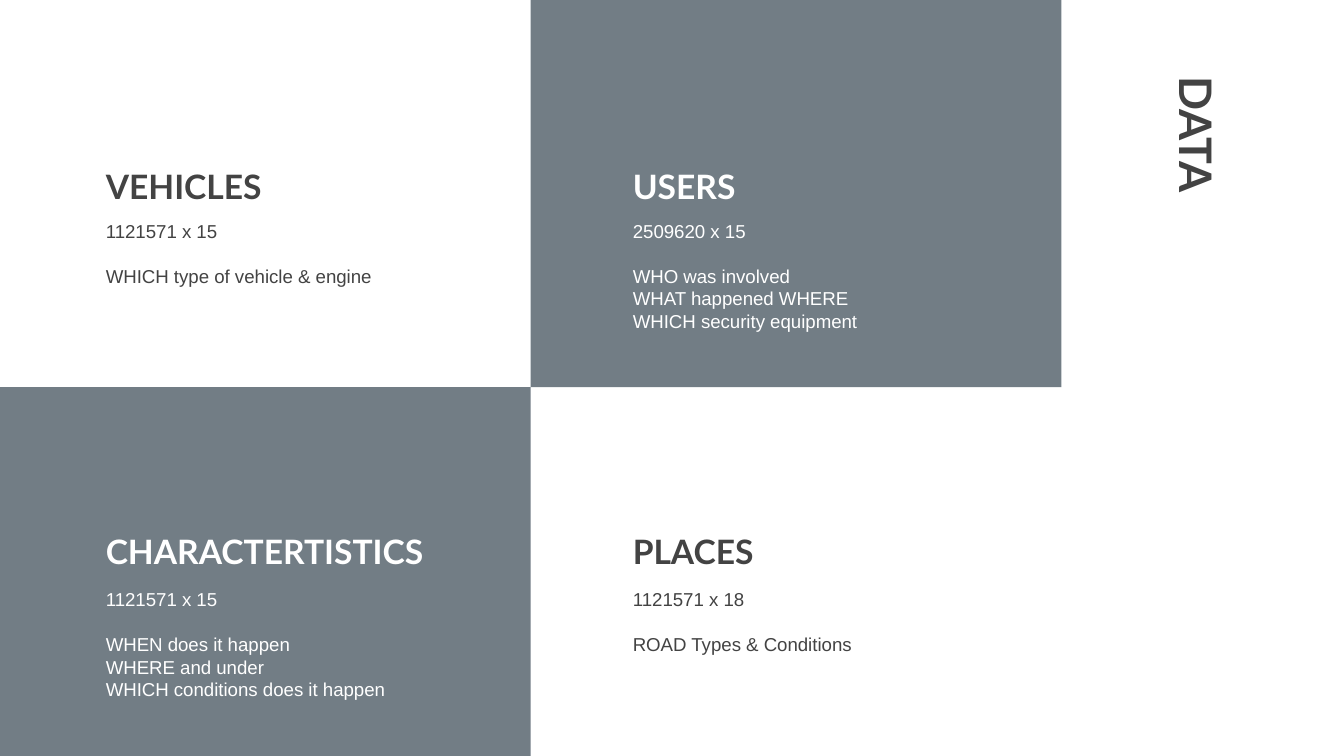
from lxml import etree
from pptx import Presentation
from pptx.dml.color import RGBColor
from pptx.enum.shapes import MSO_SHAPE
from pptx.enum.text import MSO_ANCHOR, MSO_AUTO_SIZE, PP_ALIGN
from pptx.oxml.ns import qn
from pptx.util import Cm, Pt

SLATE = RGBColor(0x19, 0x2C, 0x39)
WHITE = RGBColor(0xFF, 0xFF, 0xFF)
DARK = RGBColor(0x43, 0x43, 0x43)
RECTANGLE = MSO_SHAPE.RECTANGLE
TOP, MIDDLE, BOTTOM = MSO_ANCHOR.TOP, MSO_ANCHOR.MIDDLE, MSO_ANCHOR.BOTTOM
LEFT = PP_ALIGN.LEFT
NO_AUTOFIT = MSO_AUTO_SIZE.NONE

SLIDE_WIDTH, SLIDE_HEIGHT = Cm(25.4), Cm(14.29)
PANEL_WIDTH, PANEL_SPLIT = Cm(10.03), Cm(7.32)
COLUMN_LEFTS = [Cm(1.75), Cm(11.71)]
BODY_WIDTHS = [Cm(6.88), Cm(7.19)]
HEADING_TOPS = [Cm(2.34), Cm(9.25)]
BODY_TOPS = [Cm(3.91), Cm(10.87)]

# Row, column, heading, heading width, body height, body lines
QUADRANTS = [
    (0, 0, "VEHICLES", Cm(7.98), Cm(1.5),
     ["1121571 x 15", "WHICH type of vehicle & engine"]),
    (0, 1, "USERS", Cm(7.49), Cm(2.08),
     ["2509620 x 15", "WHO was involved", "WHAT happened WHERE",
      "WHICH security equipment"]),
    (1, 0, "CHARACTERTISTICS", Cm(7.98), Cm(2.62),
     ["1121571 x 15", "WHEN does it happen", "WHERE and under",
      "WHICH conditions does it happen"]),
    (1, 1, "PLACES", Cm(7.19), Cm(2.08),
     ["1121571 x 18", "ROAD Types & Conditions"]),
]


def place(box, left, top, width, height):
    box.left, box.top, box.width, box.height = left, top, width, height


def write(box, lines, font_name, size, color, bold, anchor):
    frame = box.text_frame
    frame.text = "\n".join(lines)
    frame.word_wrap = True
    frame.auto_size = NO_AUTOFIT
    frame.vertical_anchor = anchor
    frame.margin_left = frame.margin_right = Cm(0.25)
    frame.margin_top = frame.margin_bottom = Cm(0.25)
    for para in frame.paragraphs:
        para.alignment = LEFT
        para.space_before = Pt(0)
        for span in para.runs:
            span.font.name = font_name
            span.font.size = Pt(size)
            span.font.bold = bold
            span.font.color.rgb = color


deck = Presentation()
deck.slide_width, deck.slide_height = SLIDE_WIDTH, SLIDE_HEIGHT
page = deck.slides.add_slide(deck.slide_layouts.get_by_name("Comparison"))
title, *bodies = page.placeholders

# Vertical page title
place(title, Cm(18.57), Cm(4.57), Cm(8.1), Cm(1.35))
title.rotation = 90
write(title, ["DATA"], "Lato", 24, DARK, True, MIDDLE)

for body, quadrant in zip(bodies, QUADRANTS):
    row, column, heading_text, heading_width, body_height, lines = quadrant
    shaded = row != column
    color = WHITE if shaded else DARK

    # Panel behind the text; the first quadrant shows the page itself
    if row or column:
        panel = page.shapes.add_shape(
            RECTANGLE, column * PANEL_WIDTH, row * PANEL_SPLIT, PANEL_WIDTH,
            SLIDE_HEIGHT - PANEL_SPLIT if row else PANEL_SPLIT)
        panel.shadow.inherit = False
        panel.line.fill.background()
        panel.fill.solid()
        panel.fill.fore_color.rgb = SLATE if shaded else WHITE
        if shaded:
            fill_color = panel._element.spPr.find(".//" + qn("a:srgbClr"))
            etree.SubElement(fill_color, qn("a:alpha"), val="61000")
        page.shapes._spTree.insert(2, panel._element)

    # Heading
    heading = page.shapes.add_textbox(
        COLUMN_LEFTS[column], HEADING_TOPS[row], heading_width, Cm(1.8))
    write(heading, [heading_text], "Lato", 18, color, True, BOTTOM)

    # Table size and the questions it answers
    place(body, COLUMN_LEFTS[column], BODY_TOPS[row],
          BODY_WIDTHS[column], body_height)
    write(body, lines, "Arial", 10, color, False, TOP)
    for para in body.text_frame.paragraphs:
        para.line_spacing = Pt(12)
        properties = para._p.get_or_add_pPr()
        properties.set("marL", "0")
        properties.set("indent", "0")
        etree.SubElement(properties, qn("a:buNone"))
    body.text_frame.paragraphs[1].space_before = Pt(12)

deck.save("out.pptx")
